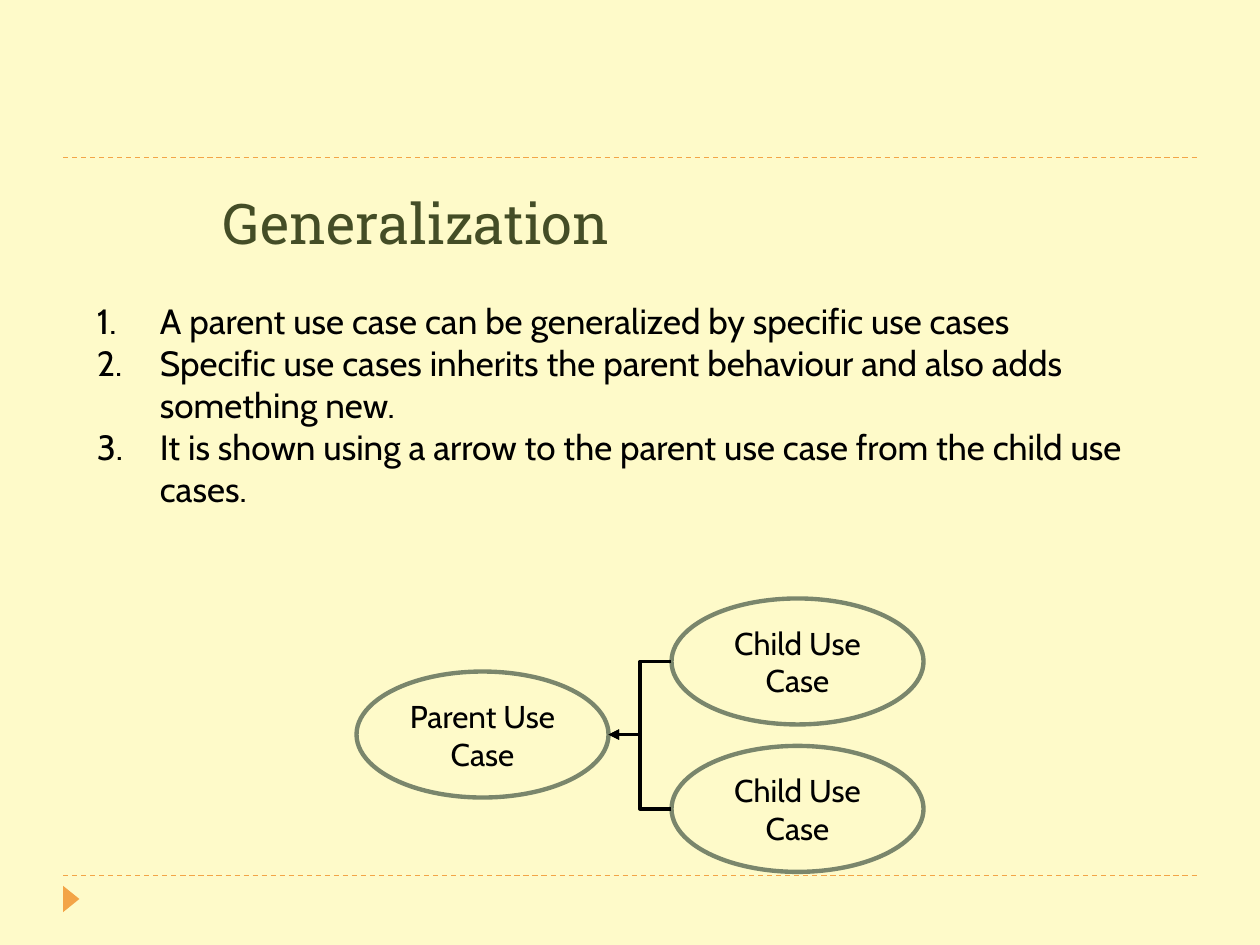
from dataclasses import dataclass

from lxml.etree import SubElement
from pptx import Presentation
from pptx.dml.color import RGBColor
from pptx.enum.dml import MSO_LINE
from pptx.enum.shapes import MSO_CONNECTOR, MSO_SHAPE
from pptx.enum.text import MSO_ANCHOR, PP_ALIGN
from pptx.oxml.ns import qn
from pptx.util import Inches, Pt

COLORS = {
    "background": "FEFAC9",
    "accent": "F3A447",
    "title": "444D26",
    "text": "000000",
    "outline": "7A866C",
}
BODY_FONT = "Cabin"
TITLE_FONT = "Roboto Slab"
OVAL_WIDTH, OVAL_HEIGHT = 2, 1
RULE_TOPS = (1.25, 6.95)
POINTS = (
    "A parent use case can be generalized by specific use cases",
    "Specific use cases inherits the parent behaviour and also adds something new.",
    "It is shown using a arrow to the parent use case from the child use cases.",
)


@dataclass
class UseCase:
    label: str
    left: float
    top: float

    @property
    def middle(self) -> float:
        return self.top + OVAL_HEIGHT / 2


PARENT = UseCase("Parent Use Case", 2.83, 5.33)
CHILDREN = (
    UseCase("Child Use Case", 5.33, 5.92),
    UseCase("Child Use Case", 5.33, 4.75),
)


def color(name: str) -> RGBColor:
    return RGBColor.from_string(COLORS[name])


def style_font(font, name: str, size: float, color_name: str) -> None:
    font.name = name
    font.size = Pt(size)
    font.color.rgb = color(color_name)


def add_line(page, kind, start: tuple, end: tuple, color_name: str, width: float):
    connector = page.shapes.add_connector(kind, *map(Inches, start + end))
    connector.line.color.rgb = color(color_name)
    connector.line.width = Pt(width)
    SubElement(connector._element.spPr, qn("a:effectLst"))
    return connector


def add_frame(page) -> None:
    """Draw the two dashed rules and the corner marker."""
    for top in RULE_TOPS:
        rule = add_line(page, MSO_CONNECTOR.STRAIGHT, (0.5, top), (9.5, top), "accent", 0.75)
        rule.line.dash_style = MSO_LINE.DASH
    marker = page.shapes.add_shape(
        MSO_SHAPE.ISOSCELES_TRIANGLE, Inches(0.46), Inches(7.07), Inches(0.21), Inches(0.13)
    )
    marker.rotation = 90
    marker.shadow.inherit = False
    marker.fill.solid()
    marker.fill.fore_color.rgb = color("accent")
    marker.line.fill.background()


def add_text_box(page, left: float, top: float, width: float, height: float):
    box = page.shapes.add_textbox(*map(Inches, (left, top, width, height)))
    box.text_frame.word_wrap = True
    return box.text_frame


def add_title(page) -> None:
    frame = add_text_box(page, 1.67, 1, 5.08, 1.08)
    frame.vertical_anchor = MSO_ANCHOR.BOTTOM
    frame.text = "Generalization"
    style_font(frame.paragraphs[0].runs[0].font, TITLE_FONT, 32, "title")


def add_numbered_list(page) -> None:
    frame = add_text_box(page, 0.67, 2.33, 8.58, 1.78)
    frame.text = "\n".join(POINTS)
    for paragraph in frame.paragraphs:
        paragraph.level = 1
        properties = paragraph._p.get_or_add_pPr()
        properties.set("marL", str(Inches(0.5)))
        properties.set("indent", str(Inches(-0.5)))
        SubElement(properties, qn("a:buAutoNum"), type="arabicPeriod")
        style_font(paragraph.runs[0].font, BODY_FONT, 20, "text")


def add_use_case(page, case: UseCase) -> None:
    oval = page.shapes.add_shape(
        MSO_SHAPE.OVAL, *map(Inches, (case.left, case.top, OVAL_WIDTH, OVAL_HEIGHT))
    )
    oval.shadow.inherit = False
    oval.fill.background()
    oval.line.color.rgb = color("outline")
    oval.line.width = Pt(2.5)
    frame = oval.text_frame
    frame.vertical_anchor = MSO_ANCHOR.MIDDLE
    frame.text = case.label
    paragraph = frame.paragraphs[0]
    paragraph.alignment = PP_ALIGN.CENTER
    style_font(paragraph.runs[0].font, BODY_FONT, 18, "text")


def add_generalization(page, child: UseCase, parent: UseCase) -> None:
    """Draw a bent arrow from the child's left side to the parent's right side."""
    arrow = add_line(
        page,
        MSO_CONNECTOR.ELBOW,
        (child.left, child.middle),
        (parent.left + OVAL_WIDTH, parent.middle),
        "text",
        2,
    )
    SubElement(arrow.line._get_or_add_ln(), qn("a:tailEnd"), type="triangle")


def main() -> None:
    deck = Presentation()
    deck.slide_width, deck.slide_height = Inches(10), Inches(7.5)
    page = deck.slides.add_slide(deck.slide_layouts[6])
    page.background.fill.solid()
    page.background.fill.fore_color.rgb = color("background")

    add_frame(page)
    add_title(page)
    add_numbered_list(page)
    for case in (PARENT, *CHILDREN):
        add_use_case(page, case)
    for child in reversed(CHILDREN):
        add_generalization(page, child, PARENT)
    deck.save("out.pptx")


if __name__ == "__main__":
    main()
